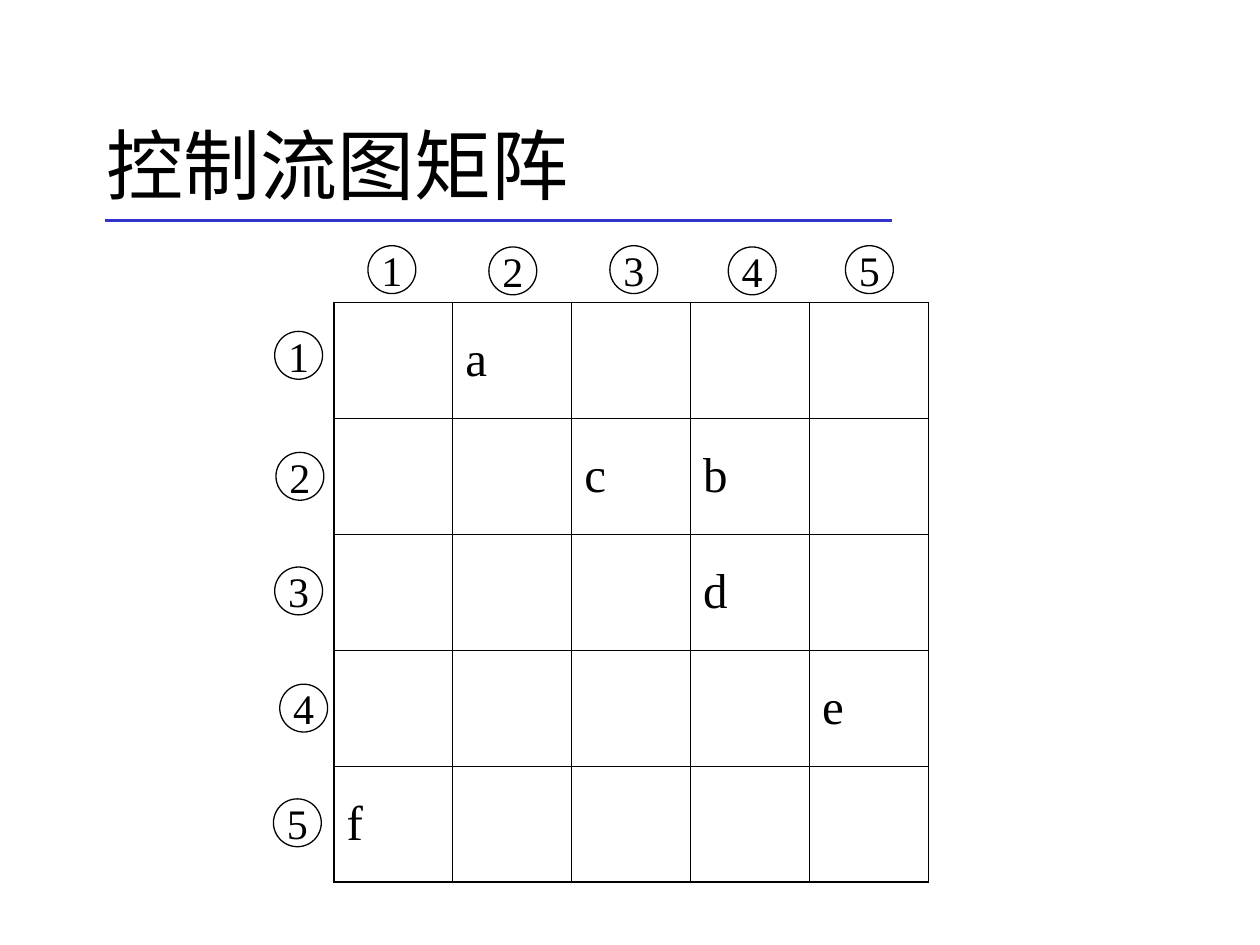
from lxml import etree
from pptx import Presentation
from pptx import util as u
from pptx.dml.color import RGBColor
from pptx.enum import shapes, text
from pptx.oxml import ns

COLORS = {"ink": "000000", "rule": "3333CC"}
LATIN, CHINESE = "Times New Roman", "Noto Sans CJK SC"
SIZE = 5
EDGES = {(0, 1): "a", (1, 2): "c", (1, 3): "b", (2, 3): "d", (3, 4): "e", (4, 0): "f"}
COLUMN_NODES = [(2.92, 1.95), (3.88, 1.96), (4.84, 1.95), (5.78, 1.96), (6.71, 1.95)]
ROW_NODES = [(2.18, 2.63), (2.19, 3.59), (2.18, 4.5), (2.22, 5.43), (2.17, 6.34)]
NODE_SIZE = 0.38
INNER_BORDER, OUTER_BORDER = 0.45, 1.08


def color(name):
    return RGBColor.from_string(COLORS[name])


def add_span(para, words, size, font):
    span = para.add_run()
    span.text = words
    span.font.size = u.Pt(size)
    span.font.color.rgb = color("ink")
    span.font.name = font
    etree.SubElement(span.font._element, ns.qn("a:ea"), typeface=font)


def add_title(page, words):
    box = page.shapes.add_textbox(u.Inches(0.75), u.Inches(0.67), u.Inches(8.5), u.Inches(1.25))
    box.text_frame.word_wrap = True
    box.text_frame.vertical_anchor = text.MSO_ANCHOR.MIDDLE
    add_span(box.text_frame.paragraphs[0], words, 44, CHINESE)


def add_rule(page):
    rule = page.shapes.add_connector(
        shapes.MSO_CONNECTOR.STRAIGHT, u.Inches(0.83), u.Inches(1.75), u.Inches(7.08), u.Inches(1.75)
    )
    rule.line.color.rgb = color("rule")
    rule.line.width = u.Pt(2.25)
    etree.SubElement(rule._element.spPr, ns.qn("a:effectLst"))


def set_borders(cell, row, column):
    """Draw the four cell borders, heavier on the outside of the matrix."""
    outer = {"L": column == 0, "R": column == SIZE - 1, "T": row == 0, "B": row == SIZE - 1}
    properties = cell._tc.get_or_add_tcPr()
    for side, is_outer in outer.items():
        width = u.Pt(OUTER_BORDER if is_outer else INNER_BORDER)
        line = etree.SubElement(properties, ns.qn(f"a:ln{side}"), w=str(int(width)))
        fill = etree.SubElement(line, ns.qn("a:solidFill"))
        etree.SubElement(fill, ns.qn("a:srgbClr"), val=COLORS["ink"])


def add_matrix(page):
    frame = page.shapes.add_table(
        SIZE, SIZE, u.Inches(2.65), u.Inches(2.4), u.Inches(4.72), u.Inches(4.6)
    )
    table = frame.table
    table.first_row = table.horz_banding = False
    for row in range(SIZE):
        for column in range(SIZE):
            cell = table.cell(row, column)
            set_borders(cell, row, column)
            cell.fill.background()
            cell.vertical_anchor = text.MSO_ANCHOR.MIDDLE
            if (row, column) in EDGES:
                add_span(cell.text_frame.paragraphs[0], EDGES[row, column], 28, LATIN)


def add_node(page, left, top, number):
    node = page.shapes.add_shape(
        shapes.MSO_SHAPE.OVAL, u.Inches(left), u.Inches(top), u.Inches(NODE_SIZE), u.Inches(NODE_SIZE)
    )
    node.shadow.inherit = False
    node.fill.background()
    node.line.color.rgb = color("ink")
    node.line.width = u.Pt(0.75)
    frame = node.text_frame
    frame.word_wrap = False
    frame.vertical_anchor = text.MSO_ANCHOR.MIDDLE
    para = frame.paragraphs[0]
    para.alignment = text.PP_ALIGN.CENTER
    add_span(para, str(number), 24, LATIN)


def main():
    deck = Presentation()
    deck.slide_width, deck.slide_height = u.Inches(10), u.Inches(7.5)
    page = deck.slides.add_slide(deck.slide_layouts[6])
    add_rule(page)
    add_title(page, "控制流图矩阵")
    add_matrix(page)
    for nodes in (COLUMN_NODES, ROW_NODES):
        for number, (left, top) in enumerate(nodes, start=1):
            add_node(page, left, top, number)
    deck.save("out.pptx")


if __name__ == "__main__":
    main()
